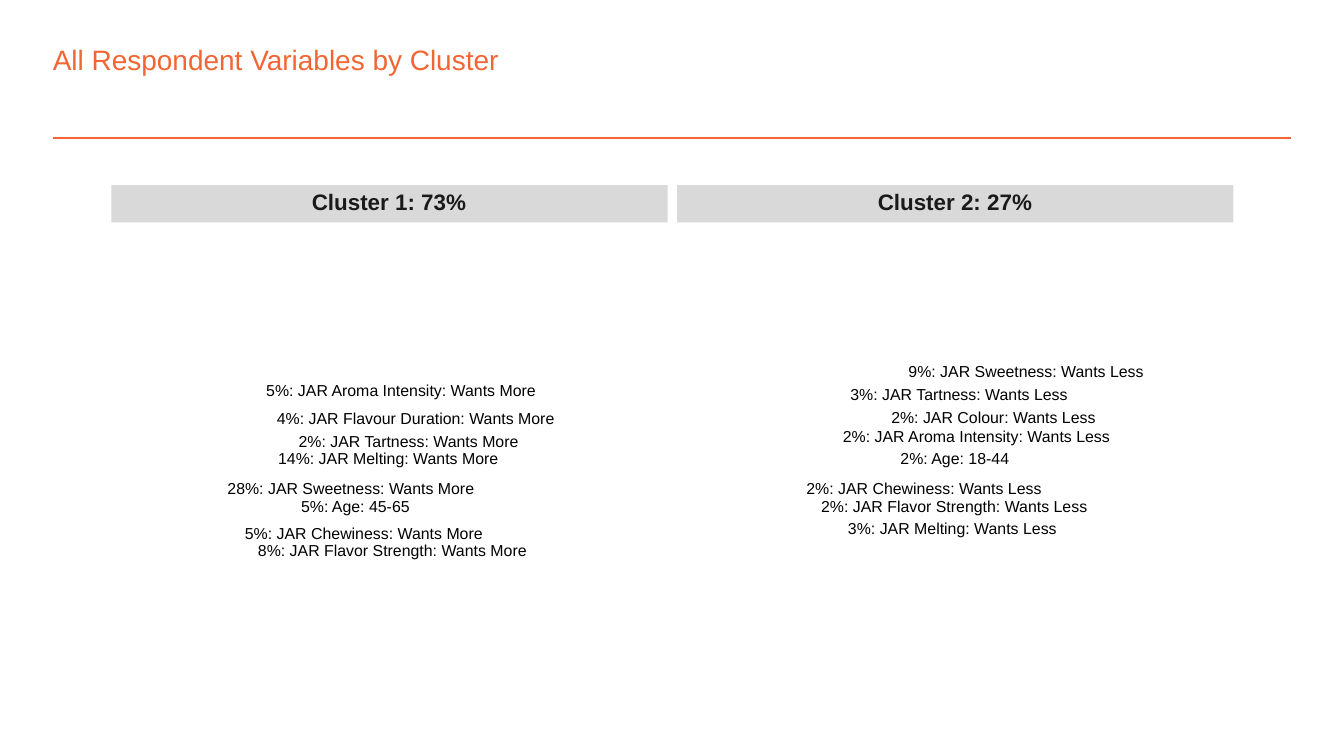
from pptx import Presentation
from pptx import util as u
from pptx.dml.color import RGBColor
from pptx.enum import shapes, text
from pptx.oxml.ns import qn
from lxml import etree

Pt = u.Pt

ORANGE = RGBColor(0xF3, 0x66, 0x33)
WHITE = RGBColor(0xFF, 0xFF, 0xFF)
GREY = RGBColor(0xD9, 0xD9, 0xD9)
INK = RGBColor(0x1A, 0x1A, 0x1A)
BLACK = RGBColor(0, 0, 0)


class SlideWriter:
    font = "Arial"

    def __init__(self, slide):
        self.slide = slide

    def rule(self, left, right, y, color):
        line = self.slide.shapes.add_connector(
            shapes.MSO_CONNECTOR.STRAIGHT, Pt(left), Pt(y), Pt(right), Pt(y))
        line.line.color.rgb = color
        line.line.width = Pt(1)
        etree.SubElement(line._element.spPr, qn("a:effectLst"))

    def panel(self, left, top, width, height, fill, outline=None):
        panel = self.slide.shapes.add_shape(
            shapes.MSO_SHAPE.RECTANGLE, Pt(left), Pt(top), Pt(width), Pt(height))
        panel.shadow.inherit = False
        panel.fill.solid()
        panel.fill.fore_color.rgb = fill
        if outline is None:
            panel.line.fill.background()
        else:
            panel.line.color.rgb = outline
            panel.line.width = Pt(0.75)

    def words(self, content, left, top, width, height, size, color,
              bold=False, wrap=False, anchor=text.MSO_ANCHOR.MIDDLE, spacing=None):
        frame = self.slide.shapes.add_textbox(
            Pt(left), Pt(top), Pt(width), Pt(height)).text_frame
        frame.margin_left = frame.margin_right = 0
        frame.margin_top = frame.margin_bottom = 0
        frame.word_wrap = wrap
        frame.vertical_anchor = anchor
        paragraph = frame.paragraphs[0]
        paragraph.text = content
        if spacing:
            paragraph.line_spacing = Pt(spacing)
        paragraph.font.name = self.font
        paragraph.font.size = Pt(size)
        paragraph.font.bold = bold
        paragraph.font.color.rgb = color

    def variable(self, content, left, top, width):
        # Labels with descenders need a slightly taller box
        height = 8 if set("gy") & set(content) else 6.5
        self.words(content, left, top, width, height, 8.5, BLACK, spacing=8.5)

    def cluster_header(self, content, left):
        band_width, label_width = 298, 83
        self.panel(left, 99.2, band_width, 20, GREY)
        self.words(content, left + (band_width - label_width) / 2, 104.3,
                   label_width, 9.5, 12, INK, bold=True, spacing=12)


# Label, left, top, width
CLUSTERS = {
    "Cluster 1: 73%": [
        ("14%: JAR Melting: Wants More", 149, 242.6, 118.8),
        ("2%: JAR Tartness: Wants More", 160, 234, 119.5),
        ("28%: JAR Sweetness: Wants More", 121.9, 259.2, 132.5),
        ("4%: JAR Flavour Duration: Wants More", 148.3, 221.8, 149.8),
        ("5%: Age: 45-65", 161.3, 267.8, 59),
        ("5%: JAR Aroma Intensity: Wants More", 142.6, 205.9, 145.4),
        ("5%: JAR Chewiness: Wants More", 131.2, 283, 128.2),
        ("8%: JAR Flavor Strength: Wants More", 138.2, 291.6, 144.7),
    ],
    "Cluster 2: 27%": [
        ("2%: Age: 18-44", 482.4, 242.6, 59),
        ("2%: JAR Aroma Intensity: Wants Less", 451.6, 230.4, 144),
        ("2%: JAR Chewiness: Wants Less", 432, 259.2, 126.7),
        ("2%: JAR Colour: Wants Less", 477.5, 221, 110.2),
        ("2%: JAR Flavor Strength: Wants Less", 439.9, 267.8, 143.3),
        ("3%: JAR Melting: Wants Less", 454.3, 280.1, 112.3),
        ("3%: JAR Tartness: Wants Less", 455.6, 208.8, 118.1),
        ("9%: JAR Sweetness: Wants Less", 486.7, 196.6, 126.7),
    ],
}


def main():
    deck = Presentation()
    deck.slide_width, deck.slide_height = Pt(720), Pt(405)
    writer = SlideWriter(deck.slides.add_slide(deck.slide_layouts[6]))

    # Title and rule
    writer.rule(28.3, 691.7, 74, ORANGE)
    writer.words("All Respondent Variables by Cluster", 28.3, 23, 597, 18, 15,
                 ORANGE, wrap=True, anchor=text.MSO_ANCHOR.TOP)

    # Plot background
    writer.panel(54, 93.6, 612, 288, WHITE, WHITE)

    # Variables of each cluster
    for variables in CLUSTERS.values():
        for variable in variables:
            writer.variable(*variable)

    # Cluster headers
    for column, header in enumerate(CLUSTERS):
        writer.cluster_header(header, 59.6 + column * 303.2)

    deck.save("out.pptx")


if __name__ == "__main__":
    main()
